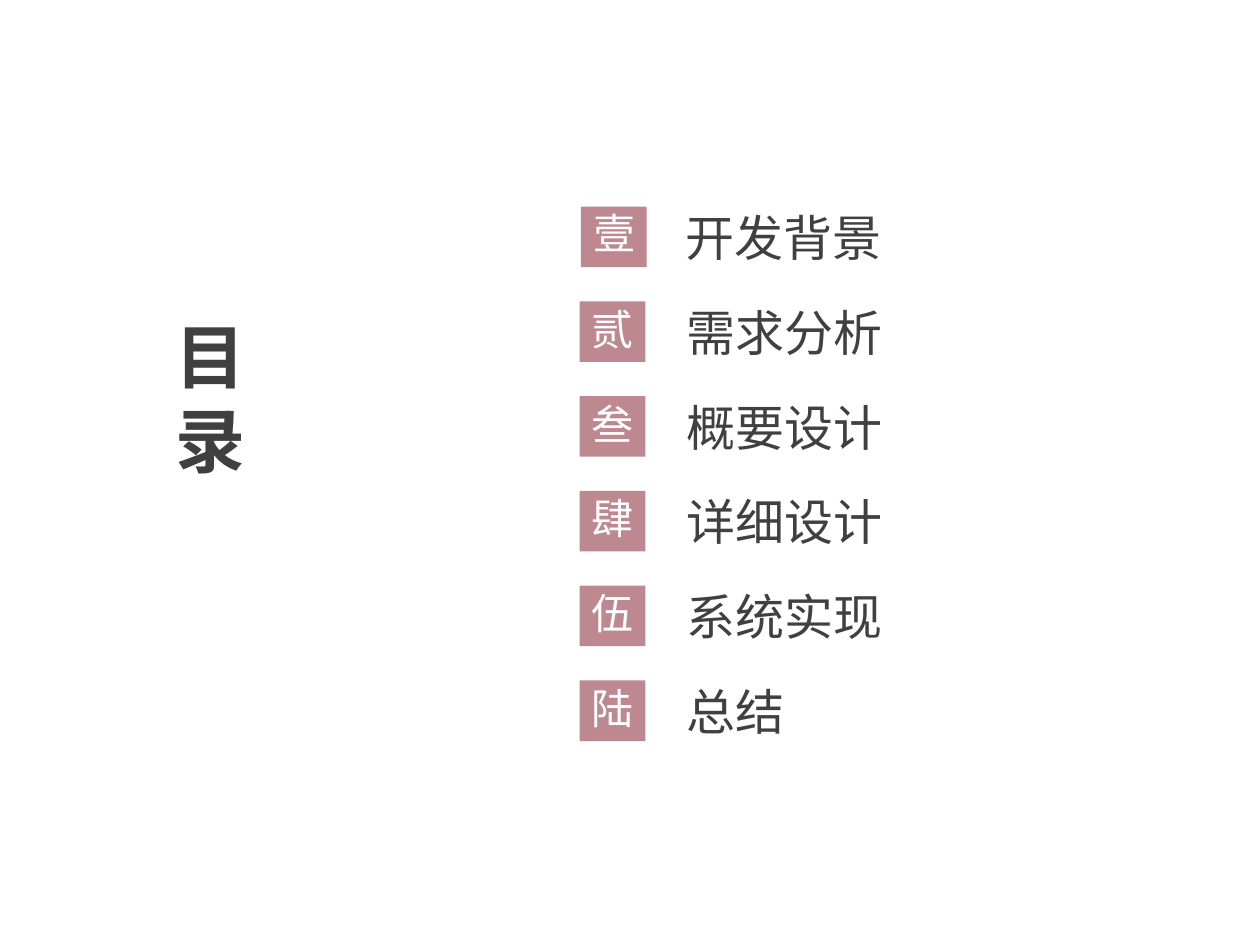
from pptx import Presentation
from pptx.dml.color import RGBColor
from pptx.enum.shapes import MSO_SHAPE
from pptx.enum.text import MSO_ANCHOR, MSO_AUTO_SIZE, PP_ALIGN
from pptx.util import Pt

RECT = MSO_SHAPE.RECTANGLE
TOP, MIDDLE = MSO_ANCHOR.TOP, MSO_ANCHOR.MIDDLE
LEFT, CENTER = PP_ALIGN.LEFT, PP_ALIGN.CENTER
NO_FIT = MSO_AUTO_SIZE.NONE

FONT = "Arial"
DARK, ROSE, WHITE = "404040", "BD888F", "FFFFFF"
ITEMS = [
    ("壹", "开发背景"),
    ("贰", "需求分析"),
    ("叁", "概要设计"),
    ("肆", "详细设计"),
    ("伍", "系统实现"),
    ("陆", "总结"),
]
FIRST, PITCH, HEIGHT = 118.1, 54.15, 34.6


def color(value):
    return RGBColor.from_string(value)


def write(shape, text, size, tint, align=LEFT, anchor=MIDDLE, bold=False, space=1.0):
    frame = shape.text_frame
    frame.word_wrap = True
    frame.auto_size = NO_FIT
    frame.vertical_anchor = anchor
    para = frame.paragraphs[0]
    para.alignment = align
    para.line_spacing = space
    run = para.add_run()
    run.text = text
    font = run.font
    font.name, font.size, font.bold = FONT, Pt(size), bold
    font.color.rgb = color(tint)


def add_title(slide, text):
    title = slide.shapes.title
    title.left, title.top = Pt(92.9), Pt(175.7)
    title.width, title.height = Pt(51.8), Pt(120.2)
    write(title, text, 40, DARK, anchor=TOP, bold=True)


def add_badge(slide, left, top, text, space):
    badge = slide.shapes.add_shape(RECT, Pt(left), Pt(top), Pt(37.6), Pt(HEIGHT))
    badge.shadow.inherit = False
    badge.fill.solid()
    badge.fill.fore_color.rgb = color(ROSE)
    badge.line.fill.background()
    write(badge, text, 24, WHITE, align=CENTER, space=space)


def add_label(slide, left, top, text):
    label = slide.shapes.add_textbox(Pt(left), Pt(top), Pt(253.4), Pt(HEIGHT))
    write(label, text, 28, DARK)


def main():
    deck = Presentation()
    deck.slide_width, deck.slide_height = Pt(720), Pt(540)
    slide = deck.slides.add_slide(deck.slide_layouts[5])
    add_title(slide, "目录")
    for row, (number, topic) in enumerate(ITEMS):
        top = FIRST + row * PITCH
        # The first row sits slightly off the column, with tighter lines.
        badge_x, label_x, space = (331.9, 384.5, 0.8) if row == 0 else (331.2, 385.2, 0.9)
        add_label(slide, label_x, top, topic)
        add_badge(slide, badge_x, top, number, space)
    deck.save("out.pptx")


if __name__ == "__main__":
    main()
